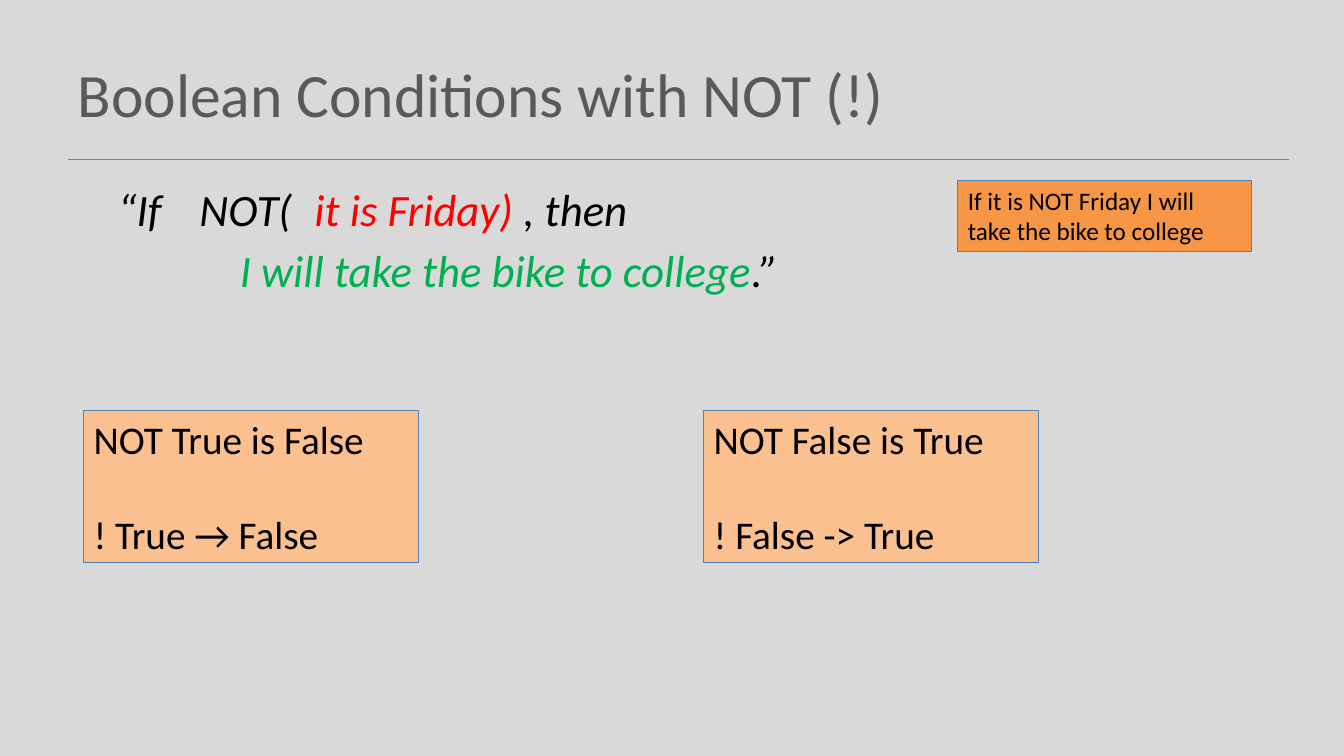
from lxml.etree import SubElement
from pptx import Presentation
from pptx.dml.color import RGBColor
from pptx.enum.shapes import MSO_CONNECTOR, MSO_SHAPE
from pptx.enum.text import MSO_ANCHOR, PP_ALIGN
from pptx.oxml.ns import qn
from pptx.util import Inches, Pt

BLACK = RGBColor(0x00, 0x00, 0x00)
RED = RGBColor(0xFF, 0x00, 0x00)
GREEN = RGBColor(0x00, 0xB0, 0x50)
GREY = RGBColor(0x59, 0x59, 0x59)
RULE = RGBColor(0x80, 0x80, 0x80)
BLUE = RGBColor(0x4F, 0x81, 0xBD)
ORANGE = RGBColor(0xF7, 0x96, 0x46)
PEACH = RGBColor(0xFA, 0xC0, 0x90)
PAGE = RGBColor(0xD9, 0xD9, 0xD9)

# Content
TITLE = "Boolean Conditions with NOT (!)"
SENTENCE = [  # tab stops in inches, then the coloured runs
    ((0.4, 1.21, 2.35),
     [("\t“If\tNOT(\t", BLACK), ("it is Friday) ", RED), (", then", BLACK)]),
    ((1.61,), [("\tI will take the bike to college", GREEN), (".”", BLACK)]),
]
NOTE = ["If it is NOT Friday I will take the bike to college"]
RULES = [
    ["NOT True is False", "! True → False"],
    ["NOT False is True", "! False -> True"],
]

# Layout in inches
WIDTH, HEIGHT = 13.33, 7.5
LEFT = 0.67
RULE_Y = 1.58
RULES_LEFT, RULES_STEP = 0.83, 6.15

prs = Presentation()
prs.slide_width, prs.slide_height = Inches(WIDTH), Inches(HEIGHT)
s = prs.slides.add_slide(prs.slide_layouts[5])
s.background.fill.solid()
s.background.fill.fore_color.rgb = PAGE


def add_text(p, text, size, color=BLACK, italic=False):
    r = p.add_run()
    r.text = text
    r.font.name, r.font.size = "Calibri", Pt(size)
    r.font.color.rgb, r.font.italic = color, italic


def add_box(lines, at, fill, size, gap=0):
    sp = s.shapes.add_shape(MSO_SHAPE.RECTANGLE, *map(Inches, at))
    sp.shadow.inherit = False
    sp.fill.solid()
    sp.fill.fore_color.rgb = fill
    sp.line.color.rgb, sp.line.width = BLUE, Pt(0.75)
    tf = sp.text_frame
    tf.word_wrap, tf.vertical_anchor = True, MSO_ANCHOR.TOP
    for i, line in enumerate(lines):
        p = tf.add_paragraph() if i else tf.paragraphs[0]
        p.alignment = PP_ALIGN.LEFT
        p.space_before = Pt(gap if i else 0)
        add_text(p, line, size)


# Title and the rule below it
title = s.shapes.title
title.left, title.top, title.width, title.height = map(Inches, (LEFT, 0.3, 12, 1.25))
title.text_frame.vertical_anchor = MSO_ANCHOR.MIDDLE
p = title.text_frame.paragraphs[0]
p.alignment = PP_ALIGN.LEFT
add_text(p, TITLE, 44, GREY)

rule = s.shapes.add_connector(
    MSO_CONNECTOR.STRAIGHT, *map(Inches, (LEFT, RULE_Y, 12.78, RULE_Y)))
rule.line.color.rgb, rule.line.width = RULE, Pt(1)
SubElement(rule._element.spPr, qn("a:effectLst"))

# Example sentence
tf = s.shapes.add_textbox(*map(Inches, (LEFT, 1.75, 7.89, 1.45))).text_frame
tf.word_wrap = True
for i, (stops, runs) in enumerate(SENTENCE):
    p = tf.add_paragraph() if i else tf.paragraphs[0]
    p.space_before = Pt(5.5 if i else 0)
    tabs = SubElement(p._p.get_or_add_pPr(), qn("a:tabLst"))
    for stop in stops:
        SubElement(tabs, qn("a:tab"), pos=str(Inches(stop)), algn="l")
    for text, color in runs:
        add_text(p, text, 32, color, italic=True)

# Plain-language note and the two rules
add_box(NOTE, (9.5, 1.79, 2.91, 0.71), ORANGE, 18)
for i, lines in enumerate(RULES):
    add_box(lines, (RULES_LEFT + i * RULES_STEP, 4.07, 3.32, 1.51), PEACH, 28, gap=34)

prs.save("out.pptx")
